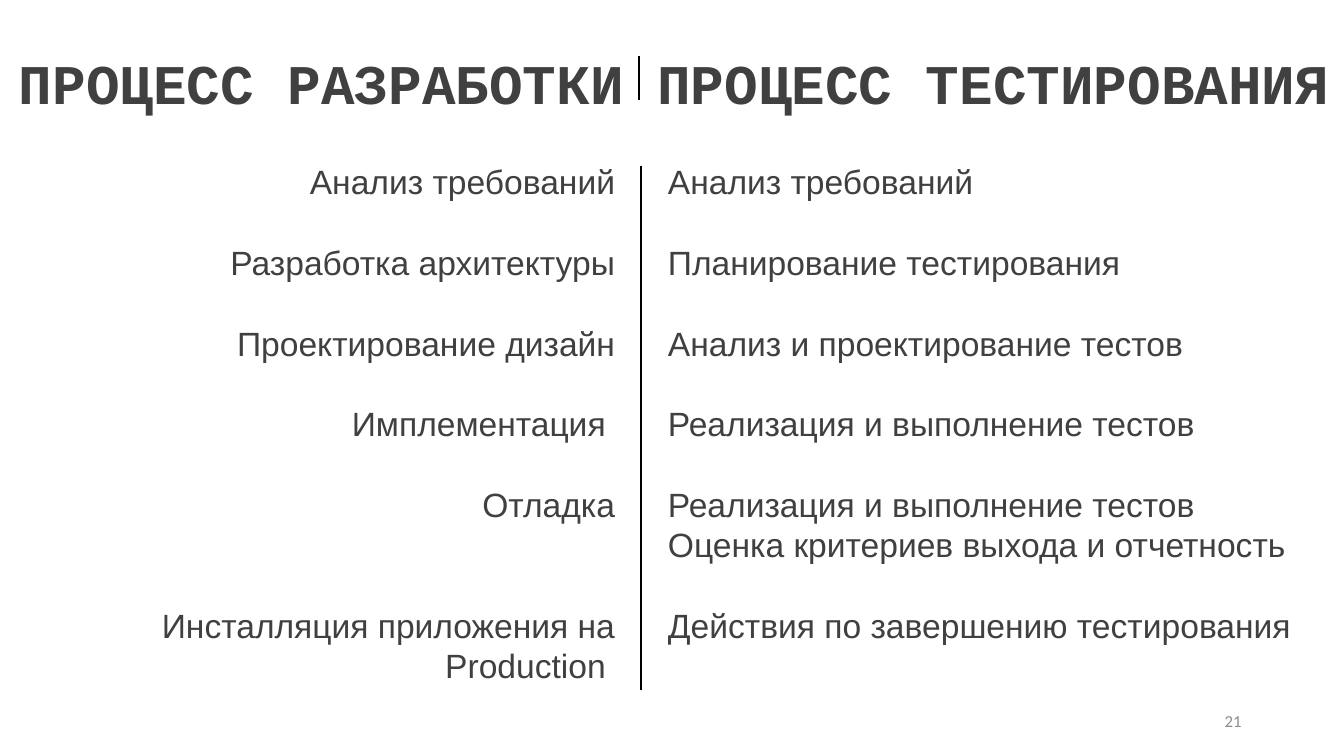
import pptx
import pptx.dml.color
import pptx.enum.shapes
import pptx.enum.text
import pptx.oxml
import pptx.util

Pt = pptx.util.Pt
Align = pptx.enum.text.PP_ALIGN
Anchor = pptx.enum.text.MSO_ANCHOR


def rgb(hex_string):
    return pptx.dml.color.RGBColor.from_string(hex_string)


class ProcessSlide:
    INK = "404040"
    MUTED = "8C8C8C"
    RULE = "000000"
    LINE_HEIGHT = 28.8

    def __init__(self, slide):
        self.slide = slide

    def text(self, box, lines, size, font, color=INK, bold=False,
             align=Align.LEFT, anchor=Anchor.TOP, line_height=None):
        """Write (text, blank lines above) pairs as paragraphs."""
        frame = self.slide.shapes.add_textbox(*map(Pt, box)).text_frame
        frame.word_wrap = True
        frame.vertical_anchor = anchor
        for index, (words, gap) in enumerate(lines):
            paragraph = frame.paragraphs[0] if index == 0 else frame.add_paragraph()
            paragraph.alignment = align
            if line_height:
                paragraph.line_spacing = Pt(line_height)
                paragraph.space_before = Pt(gap * line_height)
            run = paragraph.add_run()
            run.text = words
            run.font.name = font
            run.font.size = Pt(size)
            run.font.bold = bold
            run.font.color.rgb = rgb(color)

    def steps(self, box, lines, align):
        self.text(box, lines, 24, "Arial", align=align,
                  line_height=self.LINE_HEIGHT)

    def divider(self, x, top, bottom):
        rule = self.slide.shapes.add_connector(
            pptx.enum.shapes.MSO_CONNECTOR.STRAIGHT,
            Pt(x), Pt(top), Pt(x), Pt(bottom))
        rule.line.color.rgb = rgb(self.RULE)
        rule.line.width = Pt(1.5)
        properties = rule._element.spPr
        properties.append(pptx.oxml.parse_xml(
            '<a:effectLst xmlns:a='
            '"http://schemas.openxmlformats.org/drawingml/2006/main"/>'))


DEVELOPMENT = [
    ("Анализ требований", 0),
    ("Разработка архитектуры", 1),
    ("Проектирование дизайн", 1),
    ("Имплементация ", 1),
    ("Отладка", 1),
    ("Инсталляция приложения на Production ", 2),
]
TESTING = [
    ("Анализ требований", 0),
    ("Планирование тестирования", 1),
    ("Анализ и проектирование тестов", 1),
    ("Реализация и выполнение тестов", 1),
    ("Реализация и выполнение тестов", 1),
    ("Оценка критериев выхода и отчетность", 0),
    ("Действия по завершению тестирования", 1),
]


def main():
    deck = pptx.Presentation()
    deck.slide_width, deck.slide_height = Pt(960), Pt(540)
    page = ProcessSlide(deck.slides.add_slide(deck.slide_layouts[6]))

    page.text((6.5, 31, 1008, 55.5),
              [("ПРОЦЕСС РАЗРАБОТКИ ПРОЦЕСС ТЕСТИРОВАНИЯ", 0)],
              40, "Courier New", bold=True)
    page.steps((6.5, 111.6, 440, 406.8), DEVELOPMENT, Align.RIGHT)
    page.text((678, 500.5, 216, 28.8), [("21", 0)], 12, "Calibri",
              page.MUTED, align=Align.RIGHT, anchor=Anchor.MIDDLE)
    page.divider(456.5, 40.3, 71.3)
    page.steps((470, 111.6, 488, 356.4), TESTING, Align.LEFT)
    page.divider(458, 118.8, 493.2)
    deck.save("out.pptx")


if __name__ == "__main__":
    main()
